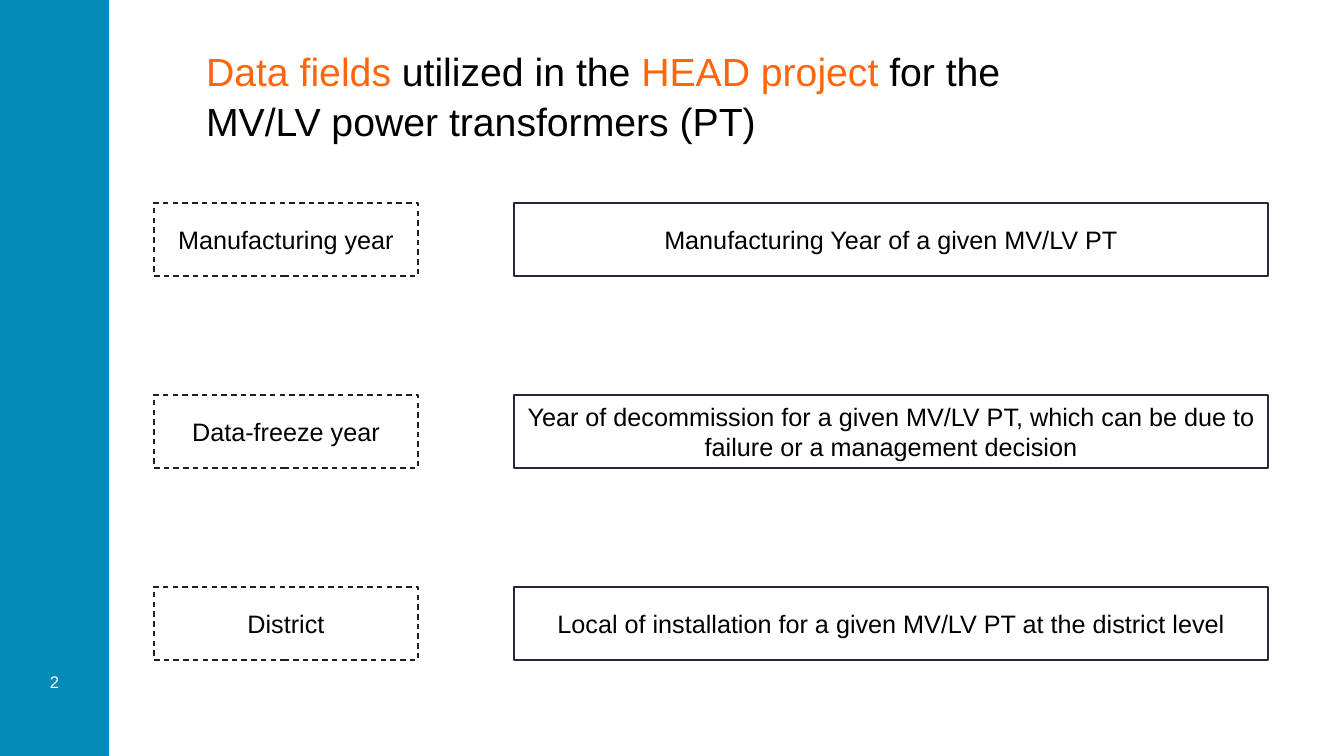
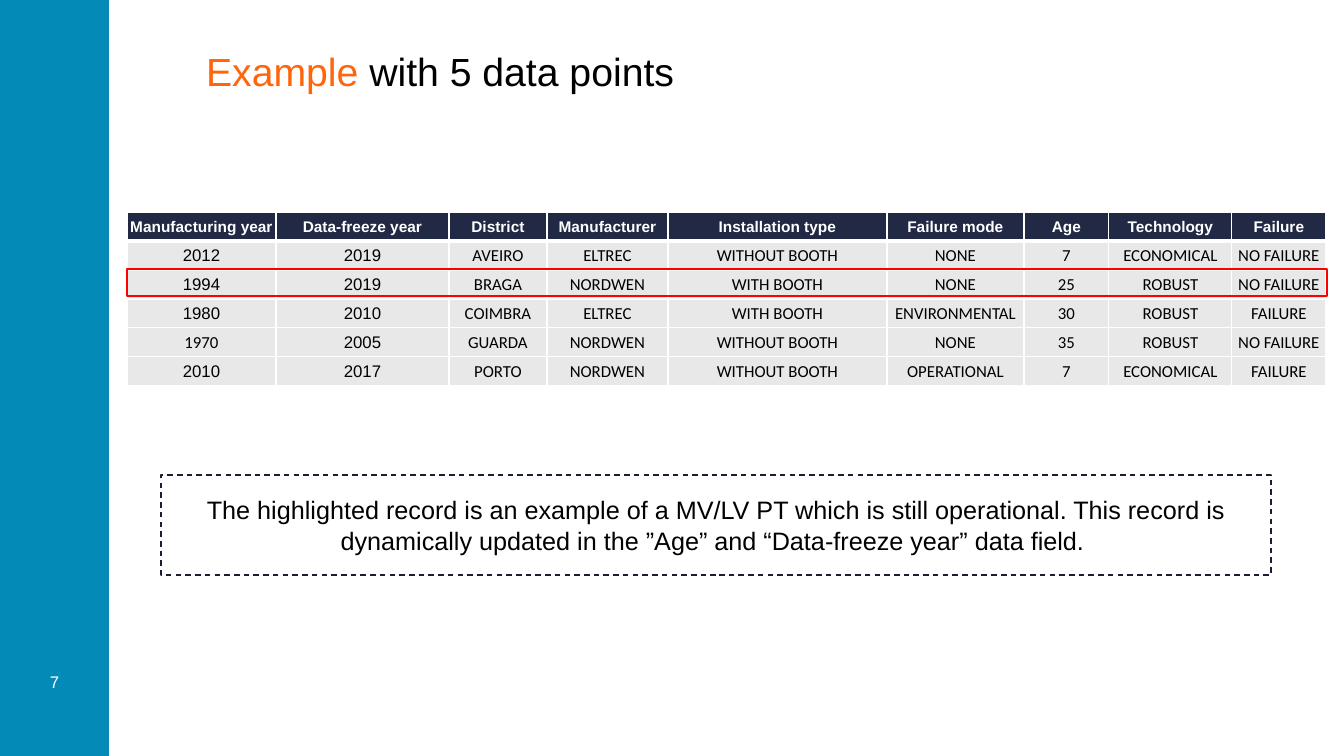
from dataclasses import dataclass

from lxml import etree
from pptx import Presentation
from pptx import util as u
from pptx.dml import color
from pptx.enum import dml, shapes, text

PX = 9071
DRAWING_NS = "http://schemas.openxmlformats.org/drawingml/2006/main"


@dataclass(frozen=True)
class Theme:
    band: str = "038AB7"
    accent: str = "FF660C"
    ink: str = "000000"
    paper: str = "FFFFFF"
    dashed_edge: str = "191E32"
    navy: str = "222944"
    record_fill: str = "E8E8E9"
    highlight: str = "FF0000"
    sans: str = "Arial"
    record_font: str = "Calibri"
    title_size: int = 28
    body_size: int = 18
    small_size: int = 12
    header_size: int = 11


THEME = Theme()
CENTRED = {"alignment": text.PP_ALIGN.CENTER}
TITLE_LINES = {"alignment": text.PP_ALIGN.LEFT, "line_spacing": 1.05}
MIDDLE = {"vertical_anchor": text.MSO_ANCHOR.MIDDLE, "word_wrap": True}
TITLE_FRAME = {
    "vertical_anchor": text.MSO_ANCHOR.TOP,
    "word_wrap": True,
    "auto_size": text.MSO_AUTO_SIZE.NONE,
}
CELL_FORMAT = {
    "margin_left": PX,
    "margin_right": PX,
    "margin_top": PX,
    "margin_bottom": 0,
    "vertical_anchor": text.MSO_ANCHOR.MIDDLE,
}


def write(frame, runs, size, frame_format=MIDDLE, line_format=CENTRED, font=THEME.sans, bold=False):
    paragraph = frame.paragraphs[0]
    for target, values in ((frame, frame_format), (paragraph, line_format)):
        for attribute, value in values.items():
            setattr(target, attribute, value)
    for words, ink in runs:
        run = paragraph.add_run()
        run.text = words
        for attribute, value in {"name": font, "size": u.Pt(size), "bold": bold}.items():
            setattr(run.font, attribute, value)
        run.font.color.rgb = color.RGBColor.from_string(ink)


def add_box(slide, area, edge=None, fill=None, dashed=False, words=""):
    box = slide.shapes.add_shape(shapes.MSO_SHAPE.RECTANGLE, *(n * PX for n in area))
    box.shadow.inherit = False
    if fill:
        box.fill.solid()
        box.fill.fore_color.rgb = color.RGBColor.from_string(fill)
    else:
        box.fill.background()
    if edge:
        box.line.color.rgb = color.RGBColor.from_string(edge)
        box.line.width = u.Pt(1)
    else:
        box.line.fill.background()
    if dashed:
        box.line.dash_style = dml.MSO_LINE.DASH
    if words:
        write(box.text_frame, [(words, THEME.ink)], THEME.body_size)
    return box


deck = Presentation()
deck.slide_width, deck.slide_height = 1344 * PX, 756 * PX
layout = deck.slide_layouts[5]
title_area = {"left": 196, "top": 40, "width": 879, "height": 91}
for attribute, length in title_area.items():
    setattr(layout.placeholders[0], attribute, length * PX)

headings = [
    ("2", [
        ("Data fields ", THEME.accent),
        ("utilized in the ", THEME.ink),
        ("HEAD project ", THEME.accent),
        ("for the MV/LV power transformers (PT)", THEME.ink),
    ]),
    ("7", [("Example", THEME.accent), (" with 5 data points", THEME.ink)]),
]
for page, heading in headings:
    slide = deck.slides.add_slide(layout)
    write(slide.shapes.title.text_frame, heading, THEME.title_size, TITLE_FRAME, TITLE_LINES)
    page_number = slide.shapes.add_textbox(0, 648 * PX, 109 * PX, 68 * PX)
    write(page_number.text_frame, [(page, THEME.paper)], THEME.small_size)

fields_slide, example_slide = deck.slides
side_band = add_box(fields_slide, (0, 0, 109, 756), fill=THEME.band)
layout.shapes.element.insert(2, side_band.element)

fields = [
    ("Manufacturing year", "Manufacturing Year of a given MV/LV PT"),
    ("Data-freeze year",
     "Year of decommission for a given MV/LV PT, which can be due to failure or a management decision"),
    ("District", "Local of installation for a given MV/LV PT at the district level"),
]
for i, (field, meaning) in enumerate(fields):
    top = 203 + 192 * i
    add_box(fields_slide, (154, top, 264, 73), THEME.dashed_edge, THEME.paper, True, field)
    add_box(fields_slide, (514, top, 754, 73), THEME.navy, THEME.paper, False, meaning)

records = [
    ("Manufacturing year", "Data-freeze year", "District", "Manufacturer", "Installation type",
     "Failure mode", "Age", "Technology", "Failure"),
    ("2012", "2019", "AVEIRO", "ELTREC", "WITHOUT BOOTH", "NONE", "7", "ECONOMICAL", "NO FAILURE"),
    ("1994", "2019", "BRAGA", "NORDWEN", "WITH BOOTH", "NONE", "25", "ROBUST", "NO FAILURE"),
    ("1980", "2010", "COIMBRA", "ELTREC", "WITH BOOTH", "ENVIRONMENTAL", "30", "ROBUST", "FAILURE"),
    ("1970", "2005", "GUARDA", "NORDWEN", "WITHOUT BOOTH", "NONE", "35", "ROBUST", "NO FAILURE"),
    ("2010", "2017", "PORTO", "NORDWEN", "WITHOUT BOOTH", "OPERATIONAL", "7", "ECONOMICAL", "FAILURE"),
]
column_widths = [149, 173, 98, 121, 219, 137, 85, 123, 94]
row_height = 29
record_table = example_slide.shapes.add_table(
    len(records), len(column_widths), 127 * PX, 212 * PX,
    sum(column_widths) * PX, row_height * len(records) * PX,
).table
record_table.horz_banding = False
for column, width in zip(record_table.columns, column_widths):
    column.width = width * PX
for r, record in enumerate(records):
    record_table.rows[r].height = row_height * PX
    header = r == 0
    for c, value in enumerate(record):
        cell = record_table.cell(r, c)
        for attribute, setting in CELL_FORMAT.items():
            setattr(cell, attribute, setting)
        borders = {"lnL": 1, "lnR": 1, "lnT": 3 if r == 1 else 1, "lnB": 3 if header else 1}
        for side, points in borders.items():
            border = etree.SubElement(
                cell._tc.get_or_add_tcPr(), f"{{{DRAWING_NS}}}{side}", w=str(u.Pt(points)))
            paint = etree.SubElement(border, f"{{{DRAWING_NS}}}solidFill")
            etree.SubElement(paint, f"{{{DRAWING_NS}}}srgbClr", val=THEME.paper)
        cell.fill.solid()
        cell.fill.fore_color.rgb = color.RGBColor.from_string(THEME.navy if header else THEME.record_fill)
        in_sans = header or (c < 2 and value != "1970")
        write(
            cell.text_frame,
            [(value, THEME.paper if header else THEME.ink)],
            THEME.header_size if header else THEME.small_size,
            frame_format={},
            font=THEME.sans if in_sans else THEME.record_font,
            bold=header,
        )

add_box(
    example_slide, (161, 475, 1110, 100), THEME.dashed_edge, dashed=True,
    words="The highlighted record is an example of a MV/LV PT which is still operational. "
          "This record is dynamically updated in the ”Age” and “Data-freeze year” data field. ",
)
add_box(example_slide, (127, 269, 1200, 27), THEME.highlight)

deck.save("out.pptx")
